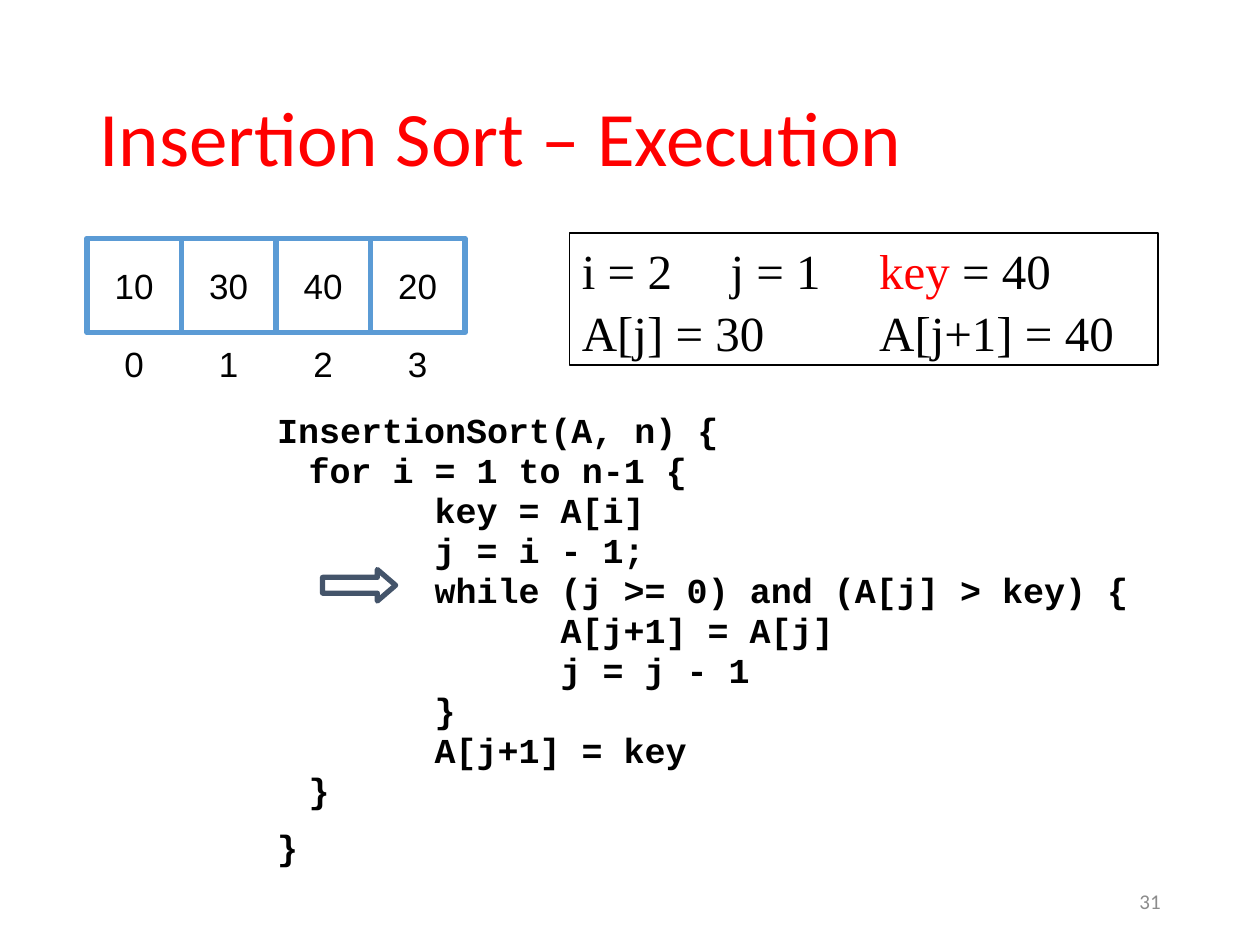
from dataclasses import dataclass

from pptx import Presentation
from pptx.dml.color import RGBColor
from pptx.enum import shapes, text
from pptx.util import Inches, Pt


@dataclass(frozen=True)
class Theme:
    black: str = "000000"
    white: str = "FFFFFF"
    red: str = "FF0000"
    blue: str = "5B9BD5"
    slate: str = "44546A"
    gray: str = "8C8C8C"
    head: tuple = ("Calibri", 44)
    code: tuple = ("Courier New", 20)
    cell: tuple = ("Arial", 20)
    vars: tuple = ("Times New Roman", 28)
    page: tuple = ("Calibri", 12)


THEME = Theme()
LOOP = """InsertionSort(A, n) {
for i = 1 to n-1 {
\tkey = A[i]
\tj = i - 1;
\twhile (j >= 0) and (A[j] > key) {
\t\tA[j+1] = A[j]
\t\tj = j - 1
\t}\t
\tA[j+1] = key
}\t\t"""


def style(para, face, color, align=text.PP_ALIGN.LEFT, bold=False):
    para.alignment = align
    font = para.font
    font.name, font.size = face[0], Pt(face[1])
    font.bold = bold
    font.color.rgb = RGBColor.from_string(color)


def place(shape, box):
    shape.left, shape.top, shape.width, shape.height = map(Inches, box)


def set_tabs(para, step):
    para._p.get_or_add_pPr().set("defTabSz", str(Inches(step)))


def add_box(slide, box, kind=shapes.MSO_SHAPE.RECTANGLE, line=None, width=1, fill=THEME.white):
    """Add a flat shape; no line colour means no outline."""
    shape = slide.shapes.add_shape(kind, *map(Inches, box))
    shape.shadow.inherit = False
    if fill:
        shape.fill.solid()
        shape.fill.fore_color.rgb = RGBColor.from_string(fill)
    else:
        shape.fill.background()
    if line:
        shape.line.color.rgb = RGBColor.from_string(line)
        shape.line.width = Pt(width)
    else:
        shape.line.fill.background()
    shape.text_frame.vertical_anchor = text.MSO_ANCHOR.MIDDLE
    return shape


def add_title(slide, box):
    title = slide.shapes.title
    place(title, box)
    frame = title.text_frame
    frame.text = "Insertion Sort – Execution"
    frame.vertical_anchor = text.MSO_ANCHOR.MIDDLE
    para = frame.paragraphs[0]
    style(para, THEME.head, THEME.red)
    para.line_spacing = 0.9


def add_page(slide, box):
    frame = slide.shapes.add_textbox(*map(Inches, box)).text_frame
    frame.word_wrap = True
    frame.vertical_anchor = text.MSO_ANCHOR.MIDDLE
    frame.text = "31"
    style(frame.paragraphs[0], THEME.page, THEME.gray, text.PP_ALIGN.RIGHT)


def add_code(slide, box):
    frame = slide.shapes.add_textbox(*map(Inches, box)).text_frame
    frame.word_wrap = True
    for i, block in enumerate((LOOP, "}")):
        para = frame.add_paragraph() if i else frame.paragraphs[0]
        para.text = block.replace("\n", "\v")
        style(para, THEME.code, THEME.black, bold=True)
        para.line_spacing = 0.95
        para.space_before = Pt(10)
        set_tabs(para, 1)
        props = para._p.get_or_add_pPr()
        props.set("marL", str(Inches(0.25)))
        props.set("indent", str(Inches(-0.25)))


def add_array(slide, box, values):
    """Draw a row of square cells with their indexes below."""
    left, top, width, height = box
    side = width / len(values)
    rows = (
        (values, top, side, THEME.blue),
        (range(len(values)), top + 0.83, height - 0.83, None),
    )
    for items, y, high, line in rows:
        for i, item in enumerate(items):
            cell = add_box(slide, (left + i * side, y, side, high), line=line, width=3)
            frame = cell.text_frame
            frame.word_wrap = False
            frame.text = str(item)
            style(frame.paragraphs[0], THEME.cell, THEME.black, text.PP_ALIGN.CENTER)


def add_vars(slide, box):
    frame = add_box(slide, box, line=THEME.black).text_frame
    frame.word_wrap = True
    para = frame.paragraphs[0]
    style(para, THEME.vars, THEME.black)
    para.line_spacing = 1.06
    set_tabs(para, 1.18)
    para.add_run().text = "i = 2\tj = 1\t"
    key = para.add_run()
    key.text = "key"
    key.font.color.rgb = RGBColor.from_string(THEME.red)
    para.add_run().text = " = 40"
    para.add_line_break()
    para.add_run().text = "A[j] = 30 \tA[j+1] = 40"


def add_arrow(slide, box):
    arrow = add_box(slide, box, shapes.MSO_SHAPE.RIGHT_ARROW, THEME.slate, 3, None)
    arrow.adjustments[1] = 0.58


def main():
    deck = Presentation()
    deck.slide_width, deck.slide_height = Inches(10), Inches(7.5)
    slide = deck.slides.add_slide(deck.slide_layouts[5])
    add_title(slide, (0.69, 0.4, 8.62, 1.45))
    add_page(slide, (7.06, 6.95, 2.25, 0.4))
    add_code(slide, (2.1, 3.22, 7.42, 3.67))
    add_array(slide, (0.69, 1.89, 3, 1.16), (10, 30, 40, 20))
    add_vars(slide, (4.52, 1.85, 4.67, 1.05))
    add_arrow(slide, (2.56, 4.52, 0.58, 0.25))
    deck.save("out.pptx")


if __name__ == "__main__":
    main()
